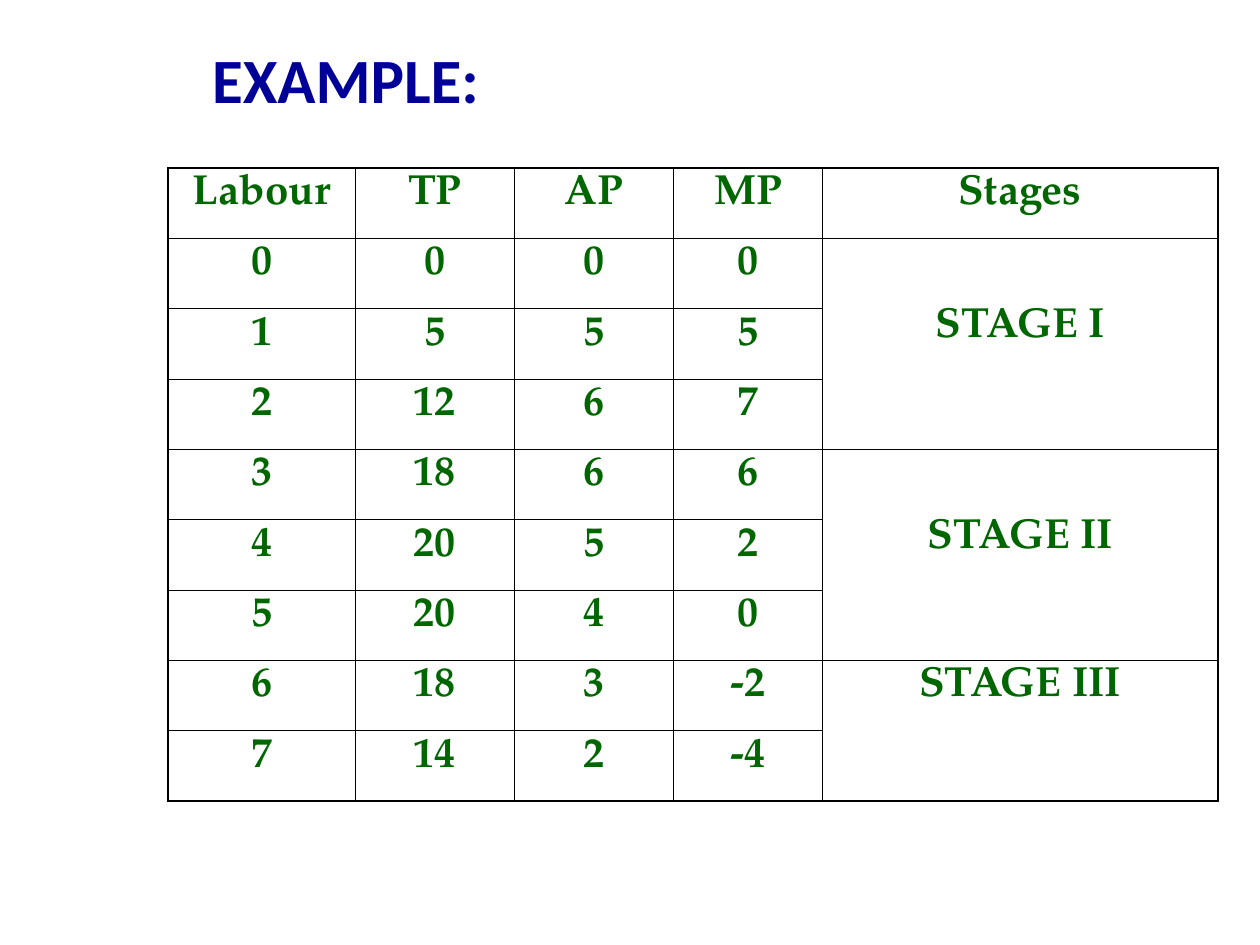
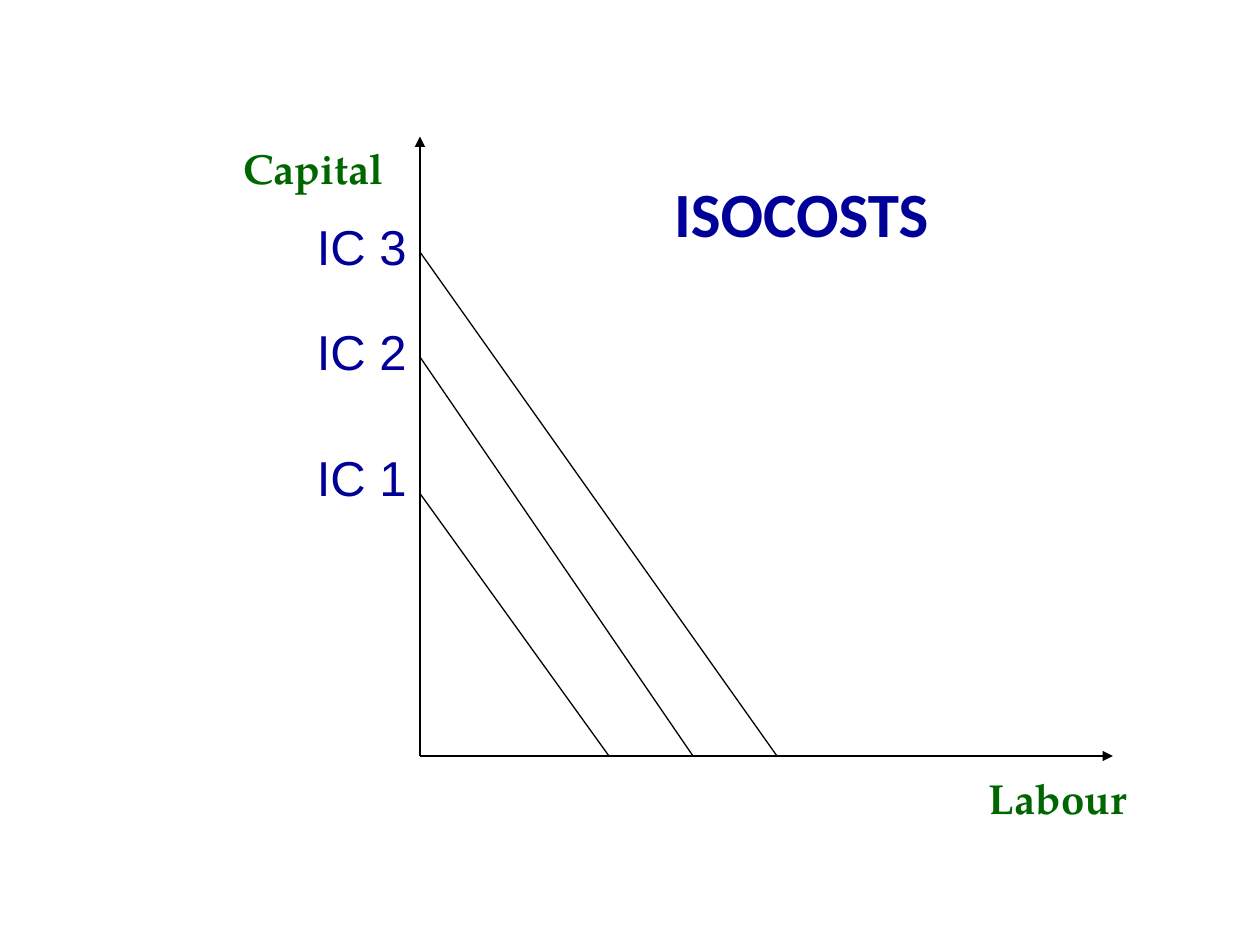
from lxml import etree
from pptx import Presentation
from pptx.dml.color import RGBColor
from pptx.enum.shapes import MSO_CONNECTOR
from pptx.enum.text import MSO_ANCHOR, MSO_AUTO_SIZE, PP_ALIGN
from pptx.oxml.ns import qn
from pptx.util import Pt

STRAIGHT = MSO_CONNECTOR.STRAIGHT
TOP, MIDDLE = MSO_ANCHOR.TOP, MSO_ANCHOR.MIDDLE
LEFT, CENTER = PP_ALIGN.LEFT, PP_ALIGN.CENTER
NO_FIT = MSO_AUTO_SIZE.NONE
TITLE_ONLY = 5

NAVY, GREEN, BLACK = "000099", "006600", "000000"
TITLE_FONT, SERIF, SANS = "Calibri", "TeX Gyre Pagella", "Arial"
THIN, THICK = 0.45, 1.08

HEADERS = ["Labour", "TP", "AP", "MP", "Stages"]
OUTPUT = [
    (0, 0, 0, 0),
    (1, 5, 5, 5),
    (2, 12, 6, 7),
    (3, 18, 6, 6),
    (4, 20, 5, 2),
    (5, 20, 4, 0),
    (6, 18, 3, -2),
    (7, 14, 2, -4),
]
STAGES = [("STAGE I", 1, 3, 39.6), ("STAGE II", 4, 3, 39.6), ("STAGE III", 7, 2, 3.6)]
COLUMN_WIDTHS = [107, 91, 91, 85, 226]
ROW_HEIGHT = 40.2

ORIGIN_X, ORIGIN_Y = 240, 432
ISOCOSTS = [("IC 1", 282, 348, 252), ("IC 2", 204, 396, 180), ("IC 3", 144, 444, 120)]


def color(value):
    return RGBColor.from_string(value)


def format_paragraph(paragraph, font, size, text_color, bold=True, align=LEFT):
    paragraph.alignment = align
    paragraph.font.name = font
    paragraph.font.size = Pt(size)
    paragraph.font.bold = bold
    paragraph.font.color.rgb = color(text_color)


def add_title_slide(presentation, text, left, top, width, height, anchor):
    slide = presentation.slides.add_slide(presentation.slide_layouts[TITLE_ONLY])
    title = slide.shapes.title
    title.left, title.top, title.width, title.height = map(Pt, (left, top, width, height))
    frame = title.text_frame
    frame.text = text
    frame.auto_size = NO_FIT
    frame.vertical_anchor = anchor
    format_paragraph(frame.paragraphs[0], TITLE_FONT, 36, NAVY)
    return slide


def add_label(slide, text, left, top, width, height, font, size, text_color, bold):
    box = slide.shapes.add_textbox(Pt(left), Pt(top), Pt(width), Pt(height))
    frame = box.text_frame
    frame.word_wrap = True
    frame.text = text
    format_paragraph(frame.paragraphs[0], font, size, text_color, bold)


def add_axis_label(slide, text, left, top):
    add_label(slide, text, left, top, 162, 36, SERIF, 24, GREEN, True)


def add_line(slide, start, end, arrow=False):
    line = slide.shapes.add_connector(STRAIGHT, *map(Pt, start + end))
    line.line.color.rgb = color(BLACK)
    line.line.width = Pt(0.75)
    if arrow:
        etree.SubElement(line.line._get_or_add_ln(), qn("a:tailEnd"), type="triangle")
    etree.SubElement(line._element.spPr, qn("a:effectLst"))


def set_border(cell, side, width):
    properties = cell._tc.get_or_add_tcPr()
    border = etree.SubElement(properties, qn(f"a:ln{side}"), w=str(Pt(width)))
    fill = etree.SubElement(border, qn("a:solidFill"))
    etree.SubElement(fill, qn("a:srgbClr"), val=BLACK)


def format_cell(cell, row, column):
    outer_sides = {
        "L": column == 0,
        "R": column == len(HEADERS) - 1,
        "T": row == 0,
        "B": row + max(cell.span_height, 1) > len(OUTPUT),
    }
    for side, is_outer in outer_sides.items():
        set_border(cell, side, THICK if is_outer else THIN)
    cell.fill.background()
    format_paragraph(cell.text_frame.paragraphs[0], SERIF, 24, GREEN, align=CENTER)


def add_production_table(slide):
    row_count = len(OUTPUT) + 1
    frame = slide.shapes.add_table(
        row_count, len(HEADERS), Pt(96), Pt(96),
        Pt(sum(COLUMN_WIDTHS)), Pt(row_count * ROW_HEIGHT))
    table = frame.table
    table.first_row = table.horz_banding = False
    for column, width in zip(table.columns, COLUMN_WIDTHS):
        column.width = Pt(width)
    for row_index, values in enumerate([HEADERS, *OUTPUT]):
        for column_index, value in enumerate(values):
            table.cell(row_index, column_index).text = str(value)
    last_column = len(HEADERS) - 1
    for stage, first_row, span, top_margin in STAGES:
        cell = table.cell(first_row, last_column)
        cell.merge(table.cell(first_row + span - 1, last_column))
        cell.text = stage
        cell.margin_top = Pt(top_margin)
    for row_index in range(row_count):
        for column_index in range(len(HEADERS)):
            format_cell(table.cell(row_index, column_index), row_index, column_index)


def add_isocost_diagram(slide):
    origin = (ORIGIN_X, ORIGIN_Y)
    add_line(slide, origin, (636, ORIGIN_Y), arrow=True)
    add_line(slide, origin, (ORIGIN_X, 78), arrow=True)
    add_axis_label(slide, "Capital", 132, 78)
    add_axis_label(slide, "Labour", 558, 438)
    for name, capital_y, labour_x, label_top in ISOCOSTS:
        add_line(slide, (ORIGIN_X, capital_y), (labour_x, ORIGIN_Y))
        add_label(slide, name, 174, label_top, 90, 41, SANS, 28, NAVY, False)


def main():
    presentation = Presentation()
    presentation.slide_width, presentation.slide_height = Pt(720), Pt(540)
    example = add_title_slide(presentation, "EXAMPLE:", 114, 0, 576, 90, MIDDLE)
    add_production_table(example)
    isocosts = add_title_slide(presentation, "ISOCOSTS", 378, 96, 246, 50.4, TOP)
    add_isocost_diagram(isocosts)
    presentation.save("out.pptx")


if __name__ == "__main__":
    main()
